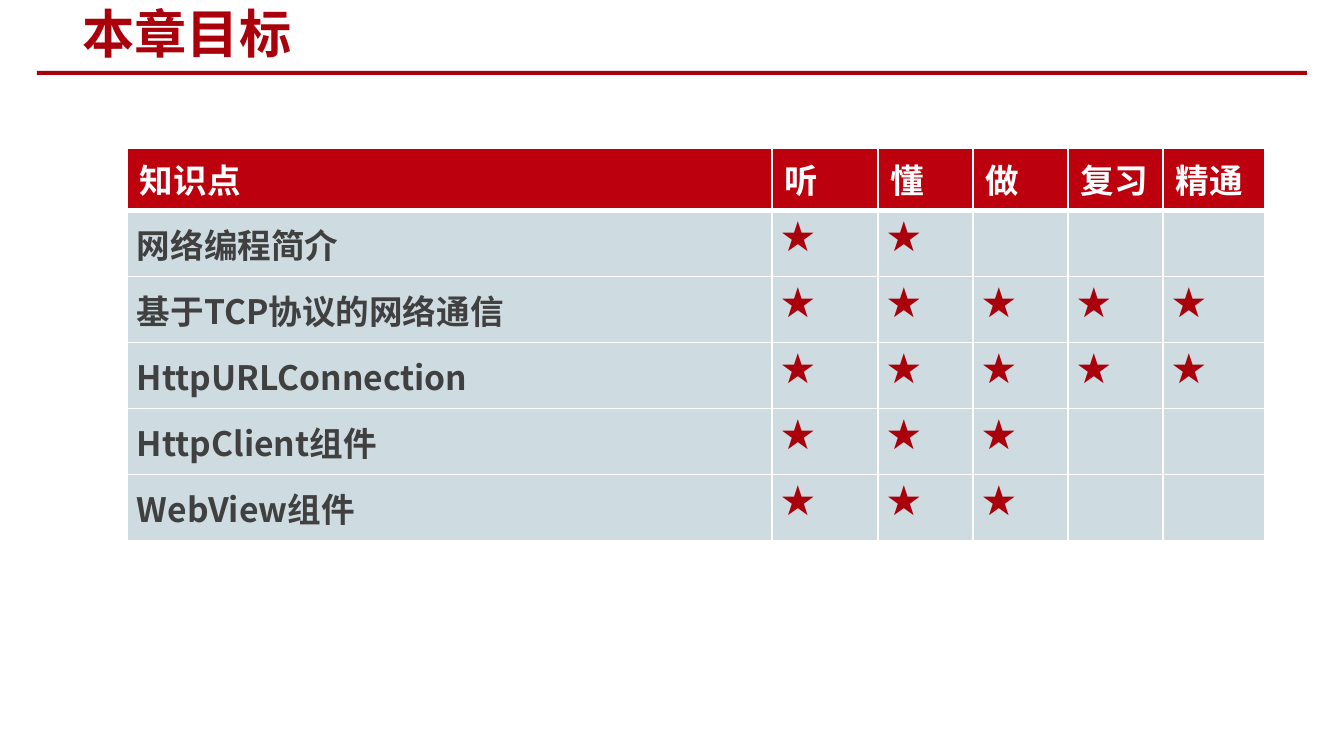
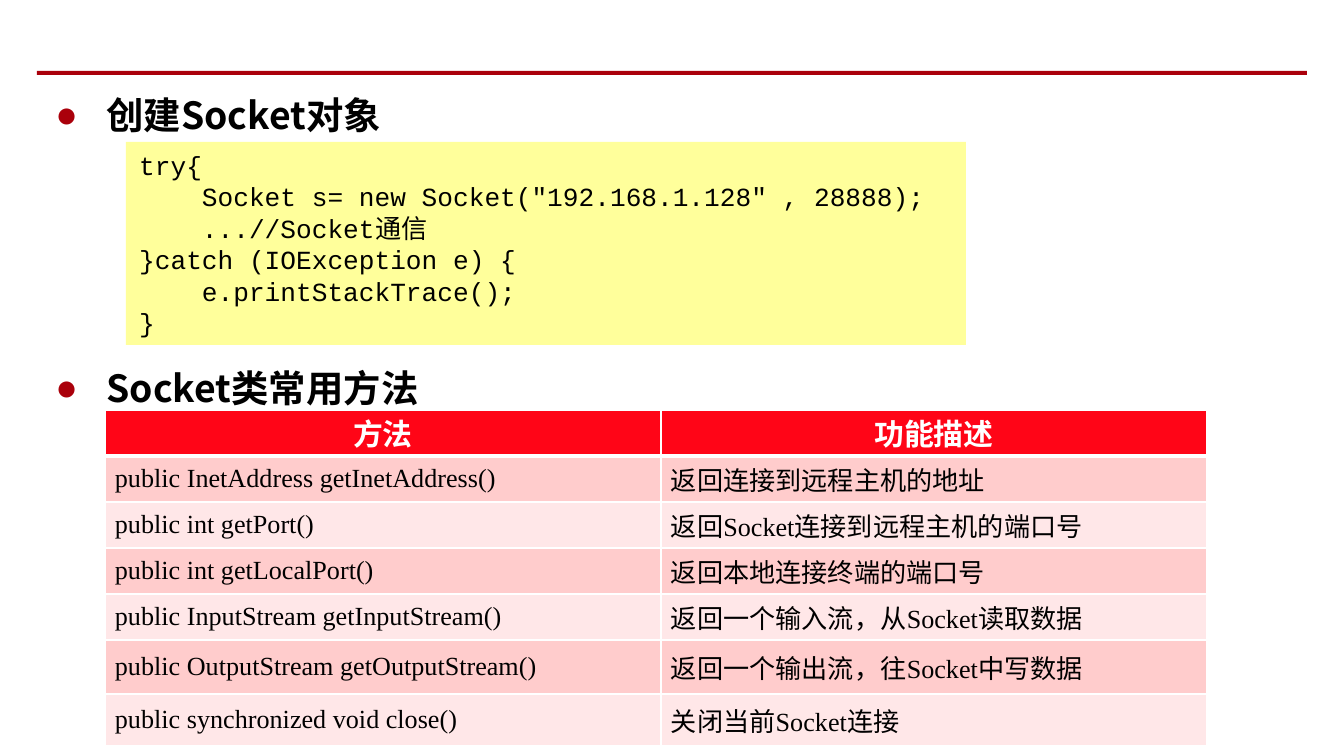
"""Build two course slides: a table of chapter goals and a page on the Socket class."""
import pptx
import pptx.dml.color
import pptx.enum.shapes
import pptx.enum.text
import pptx.oxml
import pptx.oxml.ns
import pptx.util

PX = 914400 / 134.4
RED, WHITE, BLACK, GREY = "AA000B", "FFFFFF", "000000", "404040"
SANS, MONO, SERIF = "Noto Sans CJK SC", "Courier New", "Times New Roman"
ALIGN = pptx.enum.text.PP_ALIGN
MID = pptx.enum.text.MSO_ANCHOR.MIDDLE
TOP = pptx.enum.text.MSO_ANCHOR.TOP
FIT = pptx.enum.text.MSO_AUTO_SIZE
RECT = pptx.enum.shapes.MSO_SHAPE.RECTANGLE

RULE = (37, 71, 1270, 4)
TITLE = ("本章目标", (69, 3, 712, 60))
LEVELS = ["知识点", "听", "懂", "做", "复习", "精通"]
GOALS = [
    ("网络编程简介", 2),
    ("基于TCP协议的网络通信", 5),
    ("HttpURLConnection", 5),
    ("HttpClient组件", 3),
    ("WebView组件", 3),
]
HEADS = [
    ("创建Socket对象", (42, 63, 1207, 157)),
    ("Socket类常用方法", (42, 336, 1207, 157)),
]
CODE = [
    "try{",
    '    Socket s= new Socket("192.168.1.128" , 28888);',
    "    ...//Socket通信",
    "}catch (IOException e) {",
    "    e.printStackTrace();",
    "}",
]
CALLS = [
    ("方法", "功能描述"),
    ("public InetAddress getInetAddress()", "返回连接到远程主机的地址"),
    ("public int getPort()", "返回Socket连接到远程主机的端口号"),
    ("public int getLocalPort()", "返回本地连接终端的端口号"),
    ("public InputStream getInputStream()", "返回一个输入流，从Socket读取数据"),
    ("public OutputStream getOutputStream()", "返回一个输出流，往Socket中写数据"),
    ("public synchronized void close()", "关闭当前Socket连接"),
]


def px(n):
    return pptx.util.Emu(round(n * PX))


def box(at):
    return [px(n) for n in at]


def paint(fill, hue):
    fill.solid()
    fill.fore_color.rgb = pptx.dml.color.RGBColor.from_string(hue)


def node(xml):
    return pptx.oxml.parse_xml(xml.replace(" ", f" {pptx.oxml.ns.nsdecls('a')} ", 1))


def place(shape, at):
    shape.left, shape.top, shape.width, shape.height = box(at)


def write(frame, lines, size=18, font=SANS, hue=BLACK, bold=False,
          align=ALIGN.LEFT, anchor=TOP, space=None, bullet=False):
    frame.word_wrap = True
    frame.vertical_anchor = anchor
    for i, line in enumerate(lines):
        para = frame.add_paragraph() if i else frame.paragraphs[0]
        run = para.add_run()
        run.text = line
        if bullet:
            props = para._p.get_or_add_pPr()
            props.set("marL", str(px(51)))
            props.set("indent", str(px(-51)))
            props.append(node(f'<a:buClr ><a:srgbClr val="{RED}"/></a:buClr>'))
            props.append(node('<a:buChar char="●"/>'))
        para.alignment = align
        para.space_before = pptx.util.Pt(0)
        if space:
            para.line_spacing = space
        face = run.font
        face.size, face.name, face.bold = pptx.util.Pt(size), font, bold
        paint(face.fill, hue)
        face.fill.fore_color
        run._r.get_or_add_rPr().find(pptx.oxml.ns.qn("a:latin")).addnext(
            node(f'<a:ea typeface="{SANS}"/>'))


def block(slide, at, hue):
    shape = slide.shapes.add_shape(RECT, *box(at))
    shape.shadow.inherit = False
    paint(shape.fill, hue)
    shape.line.fill.background()
    return shape


def edge(cell, row):
    props = cell._tc.get_or_add_tcPr()
    widths = {"L": 1, "R": 1, "T": 3 if row == 1 else 1, "B": 1 if row else 3}
    for i, (side, width) in enumerate(widths.items()):
        props.insert(i, node(
            f'<a:ln{side} w="{width * 12700}"><a:solidFill>'
            f'<a:srgbClr val="{WHITE}"/></a:solidFill></a:ln{side}>'))


def grid(slide, at, cols, rows, data, style):
    """Add a table; style(row, col) gives fill, margins and text format."""
    table = slide.shapes.add_table(
        len(rows), len(cols), *box((*at, sum(cols), sum(rows)))).table
    for col, width in zip(table.columns, cols):
        col.width = px(width)
    for r, (row, high) in enumerate(zip(table.rows, rows)):
        row.height = px(high)
        for c, cell in enumerate(row.cells):
            fill, (side, end), form = style(r, c)
            paint(cell.fill, fill)
            edge(cell, r)
            cell.margin_left = cell.margin_right = px(side)
            cell.margin_top = cell.margin_bottom = px(end)
            if data[r][c]:
                write(cell.text_frame, [data[r][c]], **form)
            cell.vertical_anchor = form.get("anchor", TOP)


def goal(row, col):
    if row == 0:
        return "BC000D", (13, 7), dict(hue=WHITE, bold=True)
    if col == 0:
        return "CEDCE1", (10, 0), dict(hue=GREY, bold=True, anchor=MID)
    return "CEDCE1", (10, 0), dict(hue=RED, bold=True)


def call(row, col):
    if row == 0:
        return "FF0517", (0, 0), dict(
            size=16, font="Arial", hue=WHITE, bold=True, align=ALIGN.CENTER, anchor=MID)
    return ("FFCCCC" if row % 2 else "FFE7E8"), (10, 0), dict(
        size=14, font=SERIF, align=ALIGN.JUSTIFY, anchor=MID)


def goals(deck):
    slide = deck.slides.add_slide(deck.slide_layouts[5])
    text, at = TITLE
    place(slide.shapes.title, at)
    write(slide.shapes.title.text_frame, [text], size=28, hue=RED, bold=True, anchor=MID)
    stars = [[name] + ["★"] * n + [""] * (5 - n) for name, n in GOALS]
    grid(slide, (127, 148), [645, 106, 95, 95, 95, 102], [61] + [66] * 5,
         [LEVELS] + stars, goal)


def socket(deck):
    slide = deck.slides.add_slide(deck.slide_layouts[3])
    title, *bodies = slide.placeholders
    for body, (text, at) in zip(bodies, HEADS):
        place(body, at)
        body.text_frame.auto_size = FIT.NONE
        write(body.text_frame, [text], size=20, bold=True, space=1.5, bullet=True)
    title.element.getparent().remove(title.element)
    code = block(slide, (126, 142, 840, 203), "FFFF9B")
    write(code.text_frame, CODE, size=14, font=MONO, anchor=MID,
          space=pptx.util.Pt(16.9))
    code.text_frame.auto_size = FIT.SHAPE_TO_FIT_TEXT
    grid(slide, (105, 410), [556, 546], [46] * 5 + [54, 52], CALLS, call)


def main():
    deck = pptx.Presentation()
    deck.slide_width, deck.slide_height = px(1344), px(756)
    goals(deck)
    rule = block(deck.slides[0], RULE, RED)
    deck.slide_master.shapes.element.append(rule.element)
    socket(deck)
    deck.save("out.pptx")


if __name__ == "__main__":
    main()
